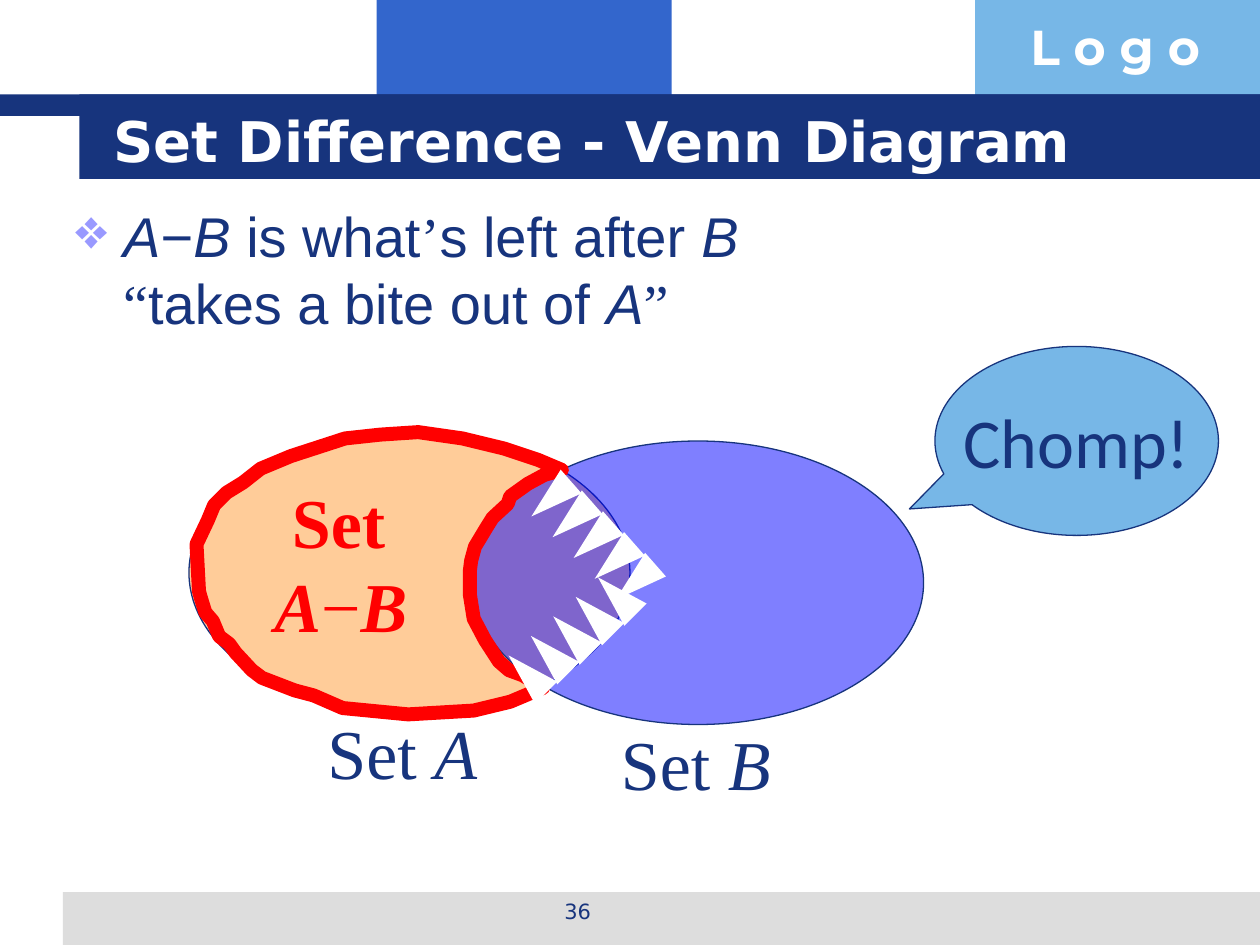
import lxml.etree
import pptx
import pptx.util
import pptx.dml.color
import pptx.enum.shapes
import pptx.enum.text
import pptx.oxml.ns
from pptx.util import Inches

SHAPE = pptx.enum.shapes.MSO_SHAPE
ALIGN = pptx.enum.text.PP_ALIGN
ANCHOR = pptx.enum.text.MSO_ANCHOR
NAVY, SKY, RED, WHITE = "17347D", "77B7E7", "FF0000", "FFFFFF"
SERIF = "Times New Roman"

DIFFERENCE_OUTLINE = [
    (2.34, 5.48), (2.08, 5.38), (2, 5.32), (1.87, 5.18), (1.82, 5.11), (1.74, 5.05),
    (1.69, 4.93), (1.63, 4.86), (1.59, 4.73), (1.58, 4.69), (1.56, 4.32), (1.65, 4.13),
    (1.7, 4.01), (1.8, 3.91), (1.93, 3.83), (2.07, 3.72), (2.31, 3.62), (2.74, 3.48),
    (3.02, 3.45), (3.32, 3.43), (3.67, 3.48), (4, 3.56), (4.27, 3.65), (4.46, 3.73),
    (4.32, 3.77), (4.19, 3.84), (4.05, 3.94), (4.03, 4), (3.91, 4.11), (3.86, 4.19),
    (3.77, 4.34), (3.74, 4.45), (3.73, 4.53), (3.73, 4.72), (3.76, 4.91), (3.85, 5.08),
    (3.96, 5.25), (4.04, 5.32), (4.15, 5.36), (4.31, 5.46), (4.05, 5.57), (3.76, 5.64),
    (3.24, 5.67), (2.72, 5.62), (2.49, 5.52),
]


def color(value):
    """Return an RGB colour for a hex string."""
    return pptx.dml.color.RGBColor.from_string(value)


def add_element(parent, tag, **attributes):
    """Append an XML element with the given attributes."""
    return lxml.etree.SubElement(parent, pptx.oxml.ns.qn(tag), attributes)


def add_shape(page, kind, place, fill, line=None, rotation=0, opacity=100):
    """Add a filled preset shape, outlined thinly if a line colour is given."""
    shape = page.shapes.add_shape(kind, *map(Inches, place))
    shape.shadow.inherit = False
    shape.rotation = rotation
    shape.fill.solid()
    shape.fill.fore_color.rgb = color(fill)
    if opacity < 100:
        tone = shape._element.spPr.find(".//" + pptx.oxml.ns.qn("a:srgbClr"))
        add_element(tone, "a:alpha", val=str(opacity * 1000))
    if line:
        shape.line.color.rgb = color(line)
        shape.line.width = pptx.util.Pt(0.75)
    else:
        shape.line.fill.background()
    return shape


def add_bullet(para, mark, tone, indent):
    """Give a paragraph a hanging coloured bullet."""
    properties = para._p.get_or_add_pPr()
    properties.set("marL", str(Inches(indent)))
    properties.set("indent", str(-Inches(indent)))
    add_element(add_element(properties, "a:buClr"), "a:srgbClr", val=tone)
    add_element(properties, "a:buChar", char=mark)


def add_runs(para, runs, size, font, tone):
    """Add (text, style, font) runs; style letters are b and i, and a newline breaks the line."""
    for text, style, *other in runs:
        if text == "\n":
            para.add_line_break()
            continue
        span = para.add_run()
        span.text = text
        span.font.size = pptx.util.Pt(size)
        span.font.name = other[0] if other else font
        span.font.color.rgb = color(tone)
        span.font.bold = "b" in style
        span.font.italic = "i" in style


def add_text(page, place, runs, size, font, tone, align=ALIGN.LEFT, anchor=ANCHOR.TOP):
    """Add a wrapped text box of one paragraph and return the paragraph."""
    box = page.shapes.add_textbox(*map(Inches, place))
    box.text_frame.word_wrap = True
    box.text_frame.vertical_anchor = anchor
    para = box.text_frame.paragraphs[0]
    para.alignment = align
    add_runs(para, runs, size, font, tone)
    return para


def add_outline(page, points, tone, width):
    """Add a closed unfilled outline through the points."""
    start, *rest = [(Inches(x), Inches(y)) for x, y in points]
    builder = page.shapes.build_freeform(*start)
    builder.add_line_segments(rest, close=True)
    outline = builder.convert_to_shape()
    outline.shadow.inherit = False
    outline.fill.background()
    outline.line.color.rgb = color(tone)
    outline.line.width = pptx.util.Pt(width)


def add_teeth(page, left, top, step_x, step_y, rotation):
    """Add a row of five white teeth at equal steps."""
    for number in range(5):
        place = (left + number * step_x, top + number * step_y, 0.25, 0.42)
        add_shape(page, SHAPE.ISOSCELES_TRIANGLE, place, WHITE, rotation=rotation)


def add_frame(page):
    """Add the coloured bands, header word, page number and title."""
    for place, fill in [
        ((2.99, 0, 2.34, 0.92), "3366CC"),
        ((7.74, 0, 2.26, 0.92), SKY),
        ((0.5, 7.08, 9.5, 0.42), "DDDDDD"),
        ((0, 0.75, 10, 0.17), NAVY),
        ((0.63, 0.75, 9.37, 0.67), NAVY),
    ]:
        add_shape(page, SHAPE.RECTANGLE, place, fill)
    add_text(page, (8.08, 0.08, 1.93, 0.57), [("L o g o", "b")], 28, "Montserrat", WHITE)
    add_text(page, (3.42, 7.08, 2.33, 0.35), [("36", "")], 12, "DejaVu Sans", NAVY, ALIGN.CENTER)
    add_text(page, (0.8, 0.8, 8.53, 0.62), [("Set Difference - Venn Diagram", "b")],
             32, "DejaVu Sans", WHITE, anchor=ANCHOR.MIDDLE)


def add_statement(page):
    """Add the bulleted sentence about the difference."""
    runs = [("A", "i"), ("−", ""), ("B", "i"), (" is what", ""), ("’", "", SERIF),
            ("s left after ", ""), ("B", "i"), ("\n", ""), ("“", "", SERIF),
            ("takes a bite out of ", ""), ("A", "i"), ("”", "", SERIF)]
    para = add_text(page, (0.5, 1.55, 9, 5.34), runs, 32, "Arial", NAVY)
    add_bullet(para, "❖", "9999FF", 0.38)


def add_callout(page):
    """Add the speech bubble."""
    bubble = add_shape(page, SHAPE.OVAL_CALLOUT, (7.42, 2.75, 2.25, 1.5), SKY, NAVY)
    bubble.adjustments[0] = -0.59
    bubble.adjustments[1] = 0.36
    frame = bubble.text_frame
    frame.word_wrap = False
    frame.vertical_anchor = ANCHOR.MIDDLE
    para = frame.paragraphs[0]
    para.alignment = ALIGN.CENTER
    add_runs(para, [("Chomp!", "")], 40, "Calibri", NAVY)


def add_diagram(page):
    """Add the two sets, their difference and the bite."""
    add_shape(page, SHAPE.OVAL, (1.5, 3.42, 3.5, 2.25), "FFCC99", NAVY)
    add_text(page, (2.5, 5.58, 1.58, 0.77), [("Set ", ""), ("A", "i")], 40, SERIF, NAVY)
    add_shape(page, SHAPE.OVAL, (3.75, 3.5, 3.58, 2.25), "0000FF", NAVY, opacity=50)
    add_text(page, (4.83, 5.67, 1.58, 0.77), [("Set ", ""), ("B", "i")], 40, SERIF, NAVY)
    add_outline(page, DIFFERENCE_OUTLINE, RED, 8)
    add_text(page, (2.08, 3.75, 1.58, 1.43),
             [(" Set", "b"), ("\n", ""), ("A", "bi"), ("−", ""), ("B", "bi")], 40, SERIF, RED)
    add_callout(page)
    add_teeth(page, 4.06, 5.14, 0.71 / 4, -0.62 / 4, 314.9)
    add_teeth(page, 4.25, 3.75, 0.67 / 4, 0.66 / 4, 228.7)


def main():
    """Build and save the slide."""
    deck = pptx.Presentation()
    deck.slide_width, deck.slide_height = Inches(10), Inches(7.5)
    page = deck.slides.add_slide(deck.slide_layouts[6])
    add_frame(page)
    add_statement(page)
    add_diagram(page)
    deck.save("out.pptx")


if __name__ == "__main__":
    main()
